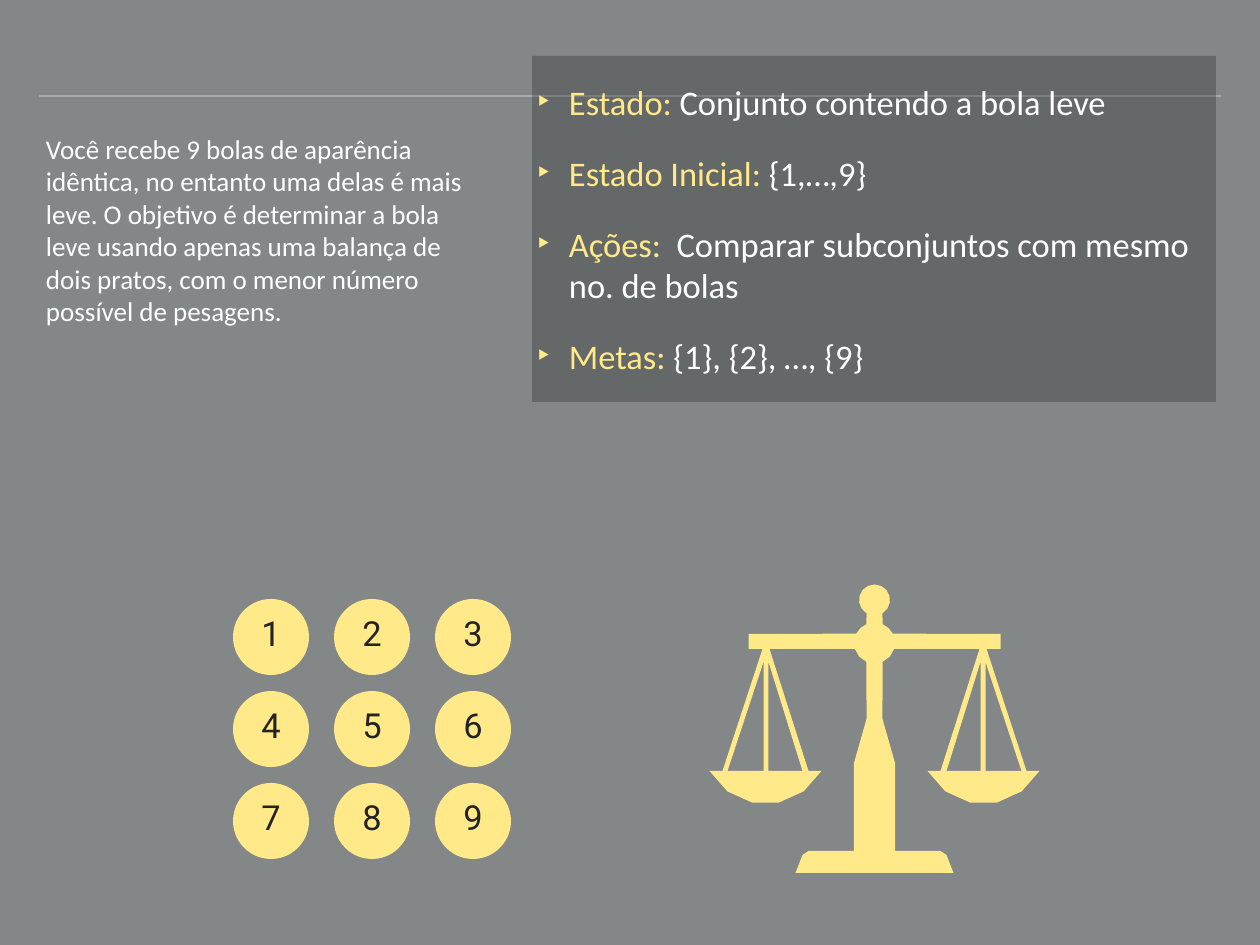
from math import ceil, cos, radians, sin

from lxml import etree
from pptx import Presentation
from pptx import util as u
from pptx.dml import color
from pptx.enum import shapes, text
from pptx.oxml import ns

PX = 10320  # EMU per px
GOLD, WHITE, DARK = "FFE989", "FFFFFF", "232323"

# Content
TASK = ("Você recebe 9 bolas de aparência idêntica, no entanto uma delas é mais "
        "leve. O objetivo é determinar a bola leve usando apenas uma balança de "
        "dois pratos, com o menor número possível de pesagens.")
MODEL = [
    ("Estado: ", "Conjunto contendo a bola leve"),
    ("Estado Inicial: ", "{1,…,9}"),
    ("Ações: ", " Comparar subconjuntos com mesmo no. de bolas"),
    ("Metas:", " {1}, {2}, …, {9}"),
]
BALLS = range(1, 10)


def px(*vals):
    return [round(v * PX) for v in vals]


def rgb(code):
    return color.RGBColor.from_string(code)


def paint(shape, code):
    shape.fill.solid()
    shape.fill.fore_color.rgb = rgb(code)
    shape.line.fill.background()
    shape.shadow.inherit = False


def place(shape, *box):
    shape.left, shape.top, shape.width, shape.height = px(*box)


def add(parent, tag, **attrs):
    return etree.SubElement(parent, ns.qn(tag), attrs)


def write(shape, paras, size, font="Calibri", align=text.PP_ALIGN.LEFT,
          gap=0, lead=1.0, bullet=None):
    """Fill a shape; each paragraph is a list of (words, colour) runs."""
    frame = shape.text_frame
    frame.word_wrap = True
    frame.auto_size = text.MSO_AUTO_SIZE.NONE
    frame.vertical_anchor = text.MSO_ANCHOR.MIDDLE
    frame.margin_left = frame.margin_right = px(5)[0]
    frame.margin_top = frame.margin_bottom = px(5)[0]
    for i, runs in enumerate(paras):
        para = frame.add_paragraph() if i else frame.paragraphs[0]
        props = para._p.get_or_add_pPr()
        dent = px(32)[0] if bullet else 0
        props.set("marL", str(dent))
        props.set("indent", str(-dent))
        if bullet:
            add(add(props, "a:buClr"), "a:srgbClr", val=GOLD)
            add(props, "a:buSzPct", val="105000")
            add(props, "a:buChar", char=bullet)
        else:
            add(props, "a:buNone")
        para.alignment = align
        para.line_spacing = lead
        para.space_before = u.Pt(gap if i else 0)
        para.space_after = u.Pt(0)
        for words, code in runs:
            run = para.add_run()
            run.text = words
            run.font.name = font
            run.font.size = u.Pt(size)
            run.font.color.rgb = rgb(code)


def arc(x, y, r, start, end):
    steps = ceil((end - start) / 25)
    turns = [radians(start + (end - start) * i / steps) for i in range(steps + 1)]
    return [(x + r * cos(t), y + r * sin(t)) for t in turns]


def flip(points):
    return [(-x, y) for x, y in reversed(points)]


deck = Presentation()
deck.slide_width, deck.slide_height = px(1260, 945)
slide = deck.slides.add_slide(deck.slide_layouts[3])
slide.background.fill.solid()
slide.background.fill.fore_color.rgb = rgb("838787")
title, task, model = slide.placeholders
title.element.getparent().remove(title.element)

# Rule, behind everything
rule = slide.shapes.add_connector(shapes.MSO_CONNECTOR.STRAIGHT,
                                  *px(39, 96, 1221, 96))
rule.line.color.rgb = rgb("A6AAA9")
rule.line.width = u.Pt(2)
add(rule.element.spPr, "a:effectLst")
rule.element.getparent().insert(2, rule.element)

# Task and problem model
place(task, 41, 95, 450, 269)
write(task, [[(TASK, WHITE)]], 22)
place(model, 532, 56, 684, 346)
model.fill.solid()
model.fill.fore_color.rgb = rgb("222222")
tint = next(model.element.spPr.iter(ns.qn("a:srgbClr")))
add(tint, "a:alpha", val="30000")
write(model, [[(key, GOLD), (value, WHITE)] for key, value in MODEL], 28,
      gap=24, bullet="‣")

# Balance: right half, measured from its axis, then mirrored
AXIS = 874.5
half = [
    *arc(0, 600, 15.5, -90, 59),                            # knob
    *arc(0, 643, 20.5, -67, -27),                           # hub, upper part
    (126, 634), (126, 649), (112, 649), (152, 771),         # beam and cord
    *arc(109, 740, 64, 29, 151),                            # pan
    (66, 771), (105, 649),
    *arc(0, 643, 20.5, 17, 67),                             # hub, lower part
    (8, 719), (20.5, 763), (20.5, 851),                     # post
    (66, 851), (72, 855), (79, 873),                        # foot
]
holes = [[(106, 662), (106, 771), (72, 771)],
         [(111, 662), (147, 771), (111, 771)]]
# The knob's top point is shared by both halves
rings = [half + flip(half)[:-1], *holes, *map(flip, holes)]
rings = [[px(AXIS + x, y) for x, y in ring] for ring in rings]
pen = slide.shapes.build_freeform(*rings[0][0])
for i, ring in enumerate(rings):
    if i:
        pen.move_to(*ring[0])
    pen.add_line_segments(ring[1:], close=True)
paint(pen.convert_to_shape(), GOLD)

# Balls in a 3 by 3 grid
for num in BALLS:
    row, col = divmod(num - 1, 3)
    ball = slide.shapes.add_shape(shapes.MSO_SHAPE.OVAL,
                                  *px(233 + 101 * col, 599 + 92 * row, 76, 76))
    paint(ball, GOLD)
    write(ball, [[(str(num), DARK)]], 28, font="Roboto",
          align=text.PP_ALIGN.CENTER, lead=0.8)

deck.save("out.pptx")
